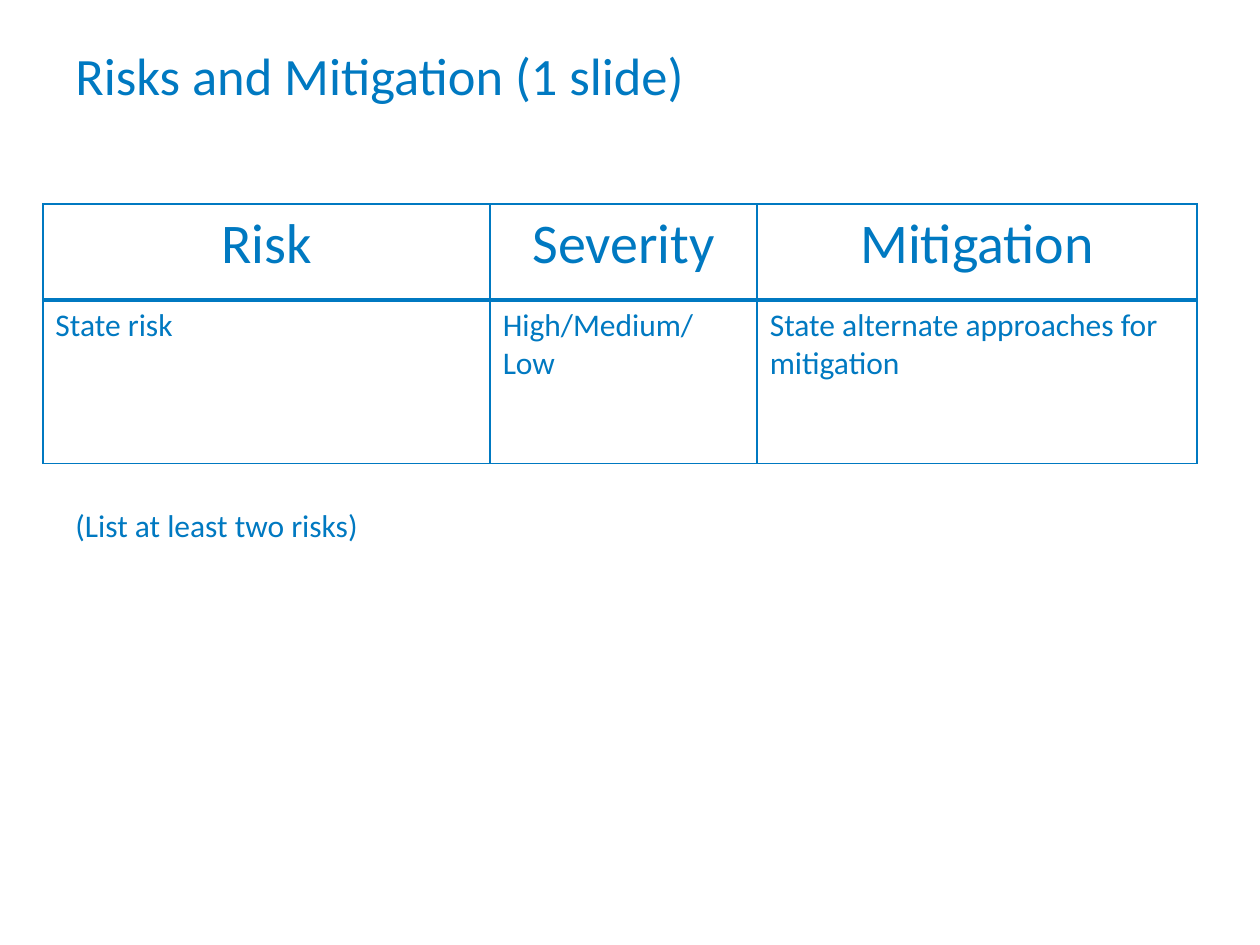
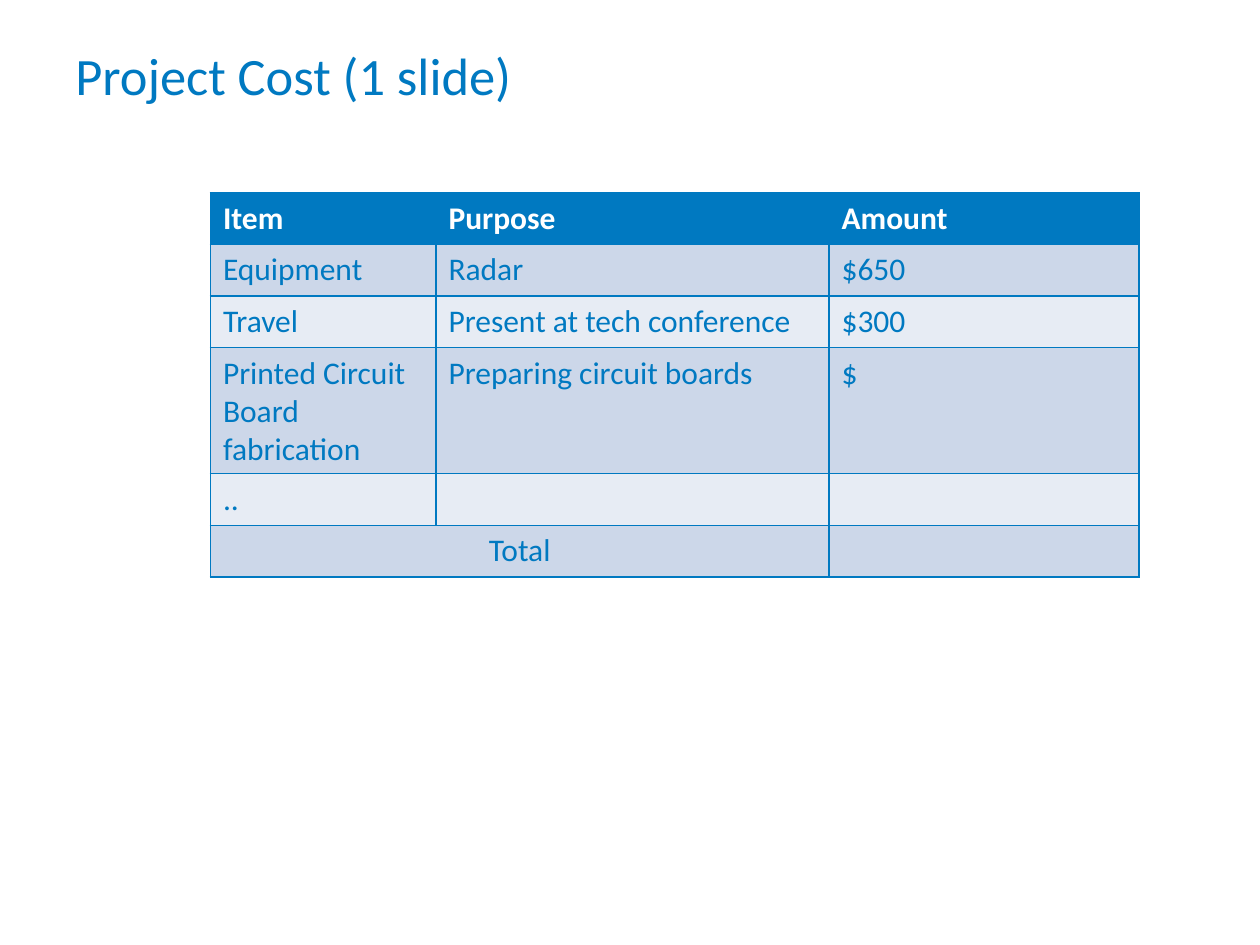
from lxml import etree
from pptx import Presentation
from pptx.dml.color import RGBColor
from pptx.enum.text import MSO_ANCHOR, PP_ALIGN
from pptx.oxml.ns import qn
from pptx.util import Inches, Pt

CENTER, LEFT = PP_ALIGN.CENTER, PP_ALIGN.LEFT
MIDDLE, TOP = MSO_ANCHOR.MIDDLE, MSO_ANCHOR.TOP
BLUE = RGBColor(0x00, 0x79, 0xC1)
WHITE = RGBColor(0xFF, 0xFF, 0xFF)
BAND_DARK = RGBColor(0xCC, 0xD7, 0xE9)
BAND_LIGHT = RGBColor(0xE7, 0xEC, 0xF4)
FONT = "Calibri"
BODY_SIZE = 18

RISKS = {
    "title": "Risks and Mitigation (1 slide)",
    "rows": [
        ("Risk", "Severity", "Mitigation"),
        ("State risk", "High/Medium/Low", "State alternate approaches for mitigation"),
    ],
    "position": (0.34, 1.62),
    "widths": (3.55, 2.12, 3.49),
    "heights": (0.76, 1.3),
    "header": {"size": 32, "color": BLUE, "align": CENTER},
    "header_fill": WHITE,
    "bands": (WHITE,),
    "header_rule": 3,
}
RISK_NOTE = "(List at least two risks)"

COST = {
    "title": "Project Cost (1 slide)",
    "rows": [
        ("Item", "Purpose", "Amount"),
        ("Equipment", "Radar", "$650"),
        ("Travel", "Present at tech conference", "$300"),
        ("Printed Circuit Board fabrication", "Preparing circuit boards", "$"),
        ("..", "", ""),
        ("Total", "", ""),
    ],
    "position": (1.67, 1.53),
    "widths": (1.79, 3.12, 2.46),
    "heights": (0.41,) * 6,
    "header": {"color": WHITE, "bold": True},
    "header_fill": BLUE,
    "bands": (BAND_DARK, BAND_LIGHT),
    "header_rule": 1,
}


def write(text_frame, text, size=BODY_SIZE, color=BLUE, bold=False, align=LEFT):
    paragraph = text_frame.paragraphs[0]
    paragraph.text = text
    paragraph.alignment = align
    font = paragraph.font
    font.name, font.size, font.bold = FONT, Pt(size), bold
    font.color.rgb = color


def add_text(slide, text, box, anchor=TOP, wrap=True, **style):
    shape = slide.shapes.add_textbox(*map(Inches, box))
    shape.text_frame.word_wrap = wrap
    shape.text_frame.vertical_anchor = anchor
    write(shape.text_frame, text, **style)


def set_borders(cell, **widths):
    properties = cell._tc.get_or_add_tcPr()
    for side in "LRTB":
        line = etree.SubElement(properties, qn(f"a:ln{side}"), w=str(Pt(widths.get(side, 1))))
        fill = etree.SubElement(line, qn("a:solidFill"))
        etree.SubElement(fill, qn("a:srgbClr"), val=str(BLUE))


def add_table(slide, content):
    rows, widths, heights = content["rows"], content["widths"], content["heights"]
    box = (*content["position"], sum(widths), sum(heights))
    table = slide.shapes.add_table(len(rows), len(widths), *map(Inches, box)).table
    for column, width in zip(table.columns, widths):
        column.width = Inches(width)
    for row, height in zip(table.rows, heights):
        row.height = Inches(height)
    rule, bands = content["header_rule"], content["bands"]
    for row_index, texts in enumerate(rows):
        is_header = row_index == 0
        for column_index, text in enumerate(texts):
            cell = table.cell(row_index, column_index)
            set_borders(cell, **({"B": rule} if is_header else {"T": rule} if row_index == 1 else {}))
            cell.fill.solid()
            cell.fill.fore_color.rgb = (
                content["header_fill"] if is_header else bands[(row_index - 1) % len(bands)]
            )
            write(cell.text_frame, text, **(content["header"] if is_header else {}))
    return table


def add_slide(presentation, content):
    slide = presentation.slides.add_slide(presentation.slide_layouts[6])
    add_text(slide, content["title"], (0.5, 0.28, 9, 0.62), anchor=MIDDLE, size=30)
    return slide, add_table(slide, content)


def main():
    presentation = Presentation()
    presentation.slide_width, presentation.slide_height = Inches(10), Inches(7.5)

    risk_slide, _ = add_slide(presentation, RISKS)
    add_text(risk_slide, RISK_NOTE, (0.5, 3.97, 2.47, 0.4), wrap=False)

    _, cost_table = add_slide(presentation, COST)
    total = cost_table.cell(len(COST["rows"]) - 1, 0)
    total.merge(cost_table.cell(len(COST["rows"]) - 1, 1))
    total.text_frame.paragraphs[0].alignment = CENTER

    presentation.save("out.pptx")


if __name__ == "__main__":
    main()
